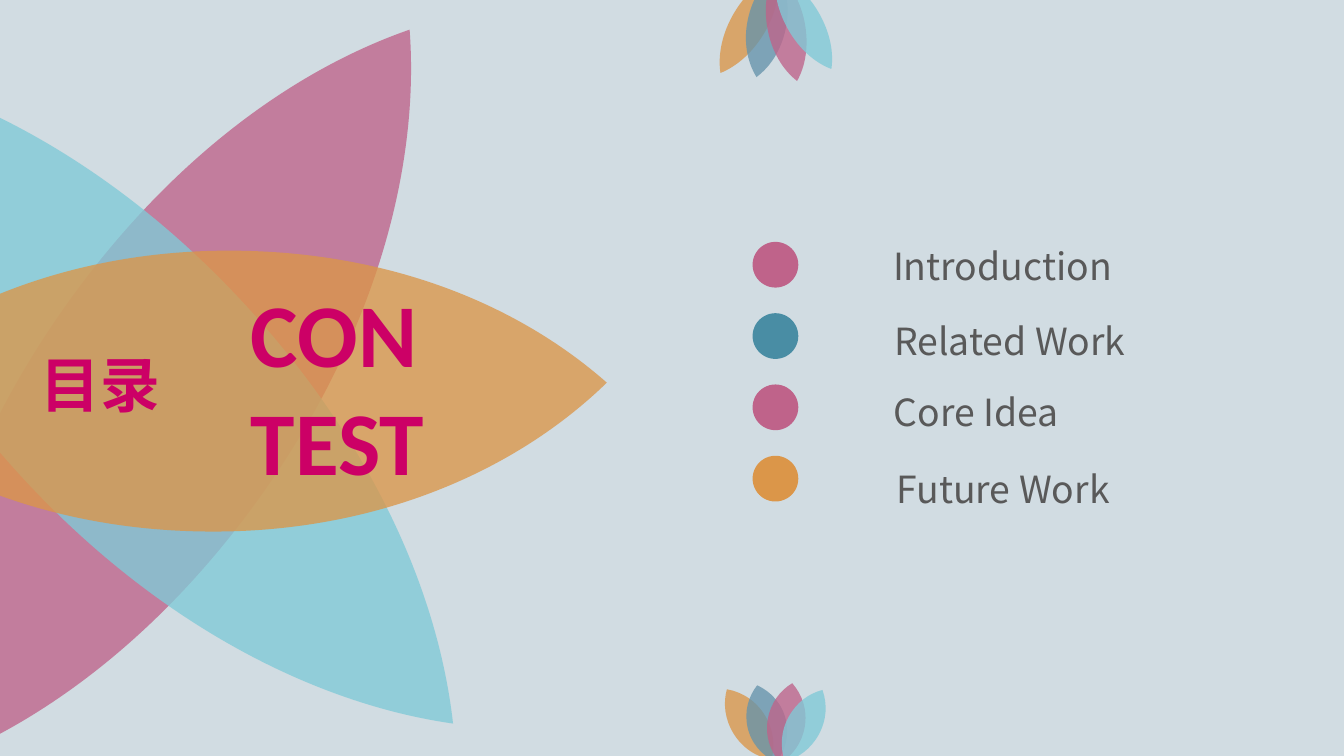
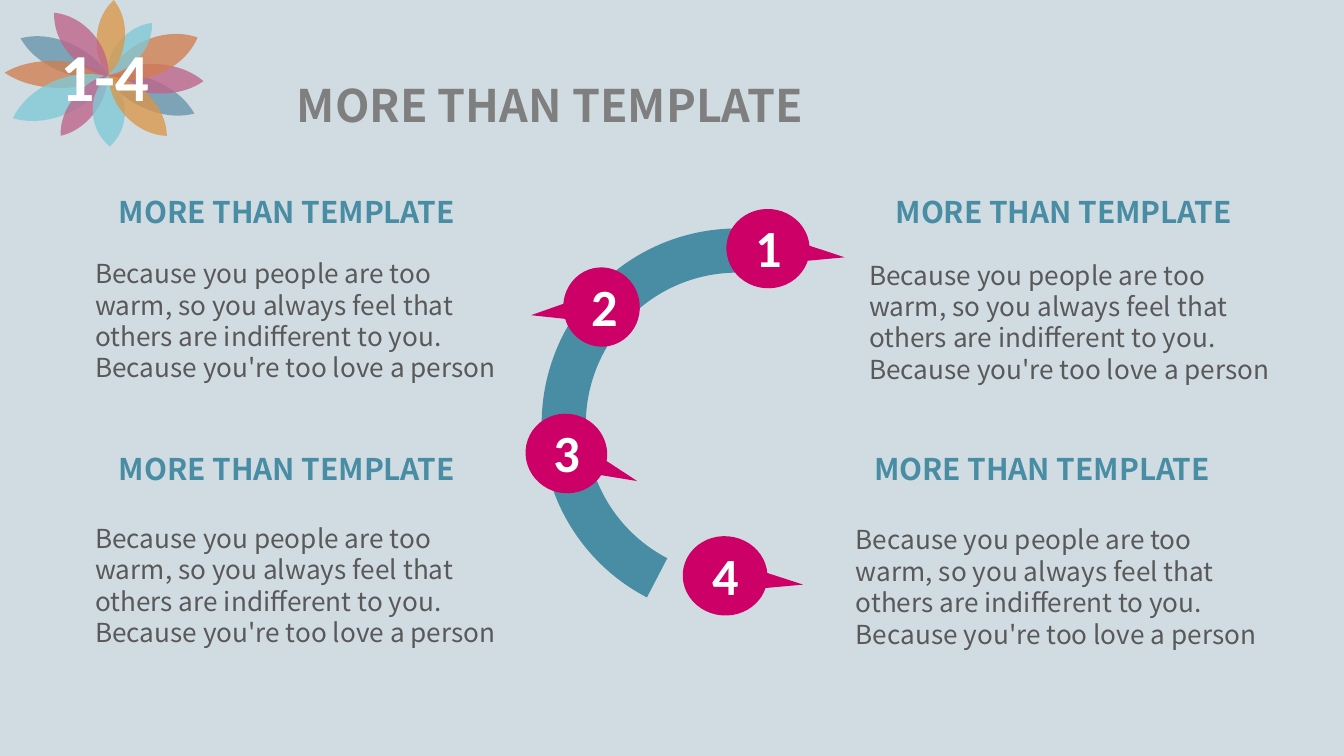
from lxml.etree import SubElement
from pptx import Presentation
from pptx.dml.color import RGBColor
from pptx.enum.shapes import MSO_SHAPE as SHAPE
from pptx.enum.text import MSO_ANCHOR as ANCHOR, MSO_AUTO_SIZE as AUTO, PP_ALIGN as ALIGN
from pptx.oxml.ns import qn
from pptx.util import Pt

COLORS = {
    "background": "D1DCE2", "pink": "BF638A", "sky": "80CAD7", "orange": "DB9649",
    "steel": "6694AB", "rust": "D27E50", "teal": "498DA4", "magenta": "CC0066",
    "white": "FFFFFF", "gray": "7F7F7F", "dark": "595959",
}
SANS, LATIN = "Noto Sans CJK SC", "Calibri"

# One side of a petal in a unit box; the other side is its half turn.
SIDE = [(.47, 0), (.79, .12), (1, .3), (1, .51), (1, .71), (.82, .88)]
PETAL = SIDE + [(1 - x, 1 - y) for x, y in SIDE] + SIDE[:1]

# color, left, top, width, height, rotation
BIG_FLOWER = [
    ("pink", 15.84, -23.76, 144, 475.92, 34.6),
    ("sky", -3.6, -37.44, 150.48, 493.92, 317.2),
    ("orange", 43.2, 2.88, 150.48, 413.28, 90),
]
BADGE_FLOWER = [
    ("steel", 26.6, 5, 15.8, 51.1, 294.2),
    ("steel", 72.7, 25.2, 15.8, 51.1, 294.2),
    ("rust", 23, 12.2, 14.4, 55.4, 92.8),
    ("pink", 75.6, 16.6, 15.8, 51.1, 274),
    ("sky", 23, 24.5, 18.7, 55.4, 247.6),
    ("rust", 72, 4.3, 19.4, 52.6, 67.9),
    ("pink", 38.2, 36, 13.7, 41, 218.8),
    ("sky", 62.6, 7.9, 13.7, 36.7, 221.9),
    ("orange", 51.8, 0, 15.1, 40.3, 5.9),
    ("sky", 49.7, 40.3, 17.3, 38.2, 0),
    ("pink", 35.3, 1.4, 16.6, 44.6, 320.5),
    ("orange", 65.5, 34.6, 16.6, 44.6, 136.9),
]
# color, left, width, lean
TULIP = [("orange", 391.7, 19.4, 30.9), ("steel", 400.3, 20.9, 12.2),
         ("pink", 411.1, 20.2, -10.1), ("sky", 421.2, 18.7, -29.2)]
# top and height of each petal
TULIP_TOP = [(-18.7, 61.9), (-15.8, 57.6), (-15.8, 59.8), (-18, 59)]
TULIP_BOTTOM = [(365.8, 44.6), (366.5, 42.5), (365.8, 43.2), (367.2, 43.2)]

# text, color of the dot, left, top, width
CONTENTS = [
    ("Introduction", "pink", 469.4, 124.6, 135.4),
    ("Related Work", "teal", 469.4, 164.9, 143.3),
    ("Core Idea", "pink", 465.1, 203, 115.9),
    ("Future Work", "orange", 469.4, 244.1, 136.1),
]
# callout box, rotation, tail shift, label position
CALLOUTS = [
    ((390.2, 110.9, 42.5, 44.6), 274.8, -.028, (397.4, 111.6)),
    ((301, 144, 42.5, 41), 85.2, .028, (309.6, 143.3)),
    ((282.2, 221, 42.5, 43.9), 289.6, -.028, (289.4, 221.8)),
    ((367.2, 285.8, 42.5, 45.4), 274.8, -.028, (374.4, 287.3)),
]
HEADING = "MORE THAN TEMPLATE"
BODY = ("Because you people are too warm, so you always feel that others are "
        "indifferent to you. Because you're too love a person")
# heading position, body position
BLOCKS = [
    ((28.8, 98.6), (43.9, 133.2)),
    ((445, 98.6), (458.6, 133.9)),
    ((28.8, 236.2), (43.9, 275)),
    ((433.4, 236.2), (451.4, 275.8)),
]


def pts(*values):
    return [Pt(v) for v in values]


def curve(sp):
    """Turn each three line segments of a freeform into one Bézier curve."""
    outline = sp._element.find(".//" + qn("a:path"))
    lines = outline.findall(qn("a:lnTo"))
    for i in range(0, len(lines), 3):
        bezier = SubElement(outline, qn("a:cubicBezTo"))
        lines[i].addprevious(bezier)
        for line in lines[i:i + 3]:
            bezier.append(line[0])
            outline.remove(line)


class Deck:
    def __init__(self):
        self.prs = Presentation()
        self.prs.slide_width, self.prs.slide_height = pts(720, 405)
        self.s = None
        self.paint(self.prs.slide_master.background.fill, "background")

    def paint(self, fill, color):
        fill.solid()
        fill.fore_color.rgb = RGBColor.from_string(COLORS[color])

    def add_slide(self):
        self.s = self.prs.slides.add_slide(self.prs.slide_layouts[5])

    def style(self, sp, color):
        self.paint(sp.fill, color)
        sp.line.fill.background()
        sp.shadow.inherit = False

    def shape(self, kind, box, color, rotation=0, adjustments=()):
        sp = self.s.shapes.add_shape(kind, *pts(*box))
        for i, value in enumerate(adjustments):
            sp.adjustments[i] = value
        sp.rotation = rotation
        self.style(sp, color)

    def flower(self, petals):
        shapes = self.s.shapes.add_group_shape().shapes
        for color, left, top, width, height, rotation in petals:
            outline = [pts(left + x * width, top + y * height) for x, y in PETAL]
            builder = shapes.build_freeform(*outline[0])
            builder.add_line_segments(outline[1:], close=True)
            sp = builder.convert_to_shape()
            curve(sp)
            sp.rotation = rotation
            self.style(sp, color)
            rgb = sp._element.spPr.find(qn("a:solidFill"))[0]
            SubElement(rgb, qn("a:alpha"), val="78000")

    def tulip(self, spans, side):
        self.flower([(color, left, top, width, height, side * lean)
                     for (color, left, width, lean), (top, height) in zip(TULIP, spans)])

    def fill_text(self, sp, lines, size, color, font, bold, align):
        tf = sp.text_frame
        tf.word_wrap = True
        tf.vertical_anchor = ANCHOR.TOP
        # The sans face sits high in a fixed line, so its text is moved down a little.
        drop = .09 * size if font == SANS else 0
        tf.margin_left, tf.margin_right = pts(7.2, 7.2)
        tf.margin_top, tf.margin_bottom = pts(3.6 + drop, 3.6 - drop)
        for i, line in enumerate(lines):
            p = tf.add_paragraph() if i else tf.paragraphs[0]
            p.alignment = align
            if font == SANS:
                p.line_spacing = Pt(1.2 * size)
            r = p.add_run()
            r.text = line
            r.font.size = Pt(size)
            r.font.bold = bold
            r.font.name = font
            self.paint(r.font.fill, color)
            SubElement(r.font._element, qn("a:ea"), typeface=font)

    def text(self, box, *lines, size, color, font=SANS, bold=False, align=ALIGN.LEFT):
        sp = self.s.shapes.add_textbox(*pts(*box))
        self.fill_text(sp, lines, size, color, font, bold, align)
        sp.text_frame.auto_size = AUTO.SHAPE_TO_FIT_TEXT

    def title(self, box, line, size, color, align=ALIGN.LEFT):
        """Place the title placeholder in front of what is drawn so far."""
        sp = self.s.shapes.title
        sp.left, sp.top, sp.width, sp.height = pts(*box)
        self.fill_text(sp, [line], size, color, SANS, True, align)
        sp.text_frame.auto_size = AUTO.NONE
        sp._element.getparent().append(sp._element)


def contents_slide(deck):
    deck.add_slide()
    deck.flower(BIG_FLOWER)
    deck.tulip(TULIP_TOP, 1)
    deck.tulip(TULIP_BOTTOM, -1)
    deck.title((14.4, 180, 104.4, 46.1), "目录", 32, "magenta")
    deck.text((127.4, 145.4, 141.8, 122.4), "CON", "TEST",
              size=48, color="magenta", font=LATIN, bold=True)
    for i, (item, color, left, top, width) in enumerate(CONTENTS):
        deck.shape(SHAPE.OVAL, (403.2, 129.6 + 38.2 * i, 24.5, 24.5), color)
        deck.text((left, top, width, 31.7), item, size=20, color="dark", align=ALIGN.CENTER)


def four_points_slide(deck):
    deck.add_slide()
    deck.flower(BADGE_FLOWER)
    deck.text((25.2, 15.1, 78.5, 50.4), "1-4", size=36, color="white", font=LATIN, bold=True)
    deck.title((96.5, 36, 396, 36), HEADING, 24, "gray", ALIGN.CENTER)
    # Arc angles are stored in 60000ths of a degree, adjustments in 100000ths.
    deck.shape(SHAPE.BLOCK_ARC, (290.2, 122.4, 209.5, 209.5), "teal", 285.6,
               (191.9 * .6, 348.1 * .6, .113))
    for number, (box, rotation, shift, label) in enumerate(CALLOUTS, 1):
        deck.shape(SHAPE.OVAL_CALLOUT, box, "magenta", rotation, (shift, .927))
        deck.text((*label, 27.4, 41), str(number),
                  size=28, color="white", font=LATIN, bold=True)
    for heading, body in BLOCKS:
        deck.text((*heading, 249.8, 26.6), HEADING,
                  size=16, color="teal", bold=True, align=ALIGN.CENTER)
        deck.text((*body, 236.9, 74.9), BODY, size=14, color="dark")


def main():
    deck = Deck()
    contents_slide(deck)
    four_points_slide(deck)
    deck.prs.save("out.pptx")


if __name__ == "__main__":
    main()
